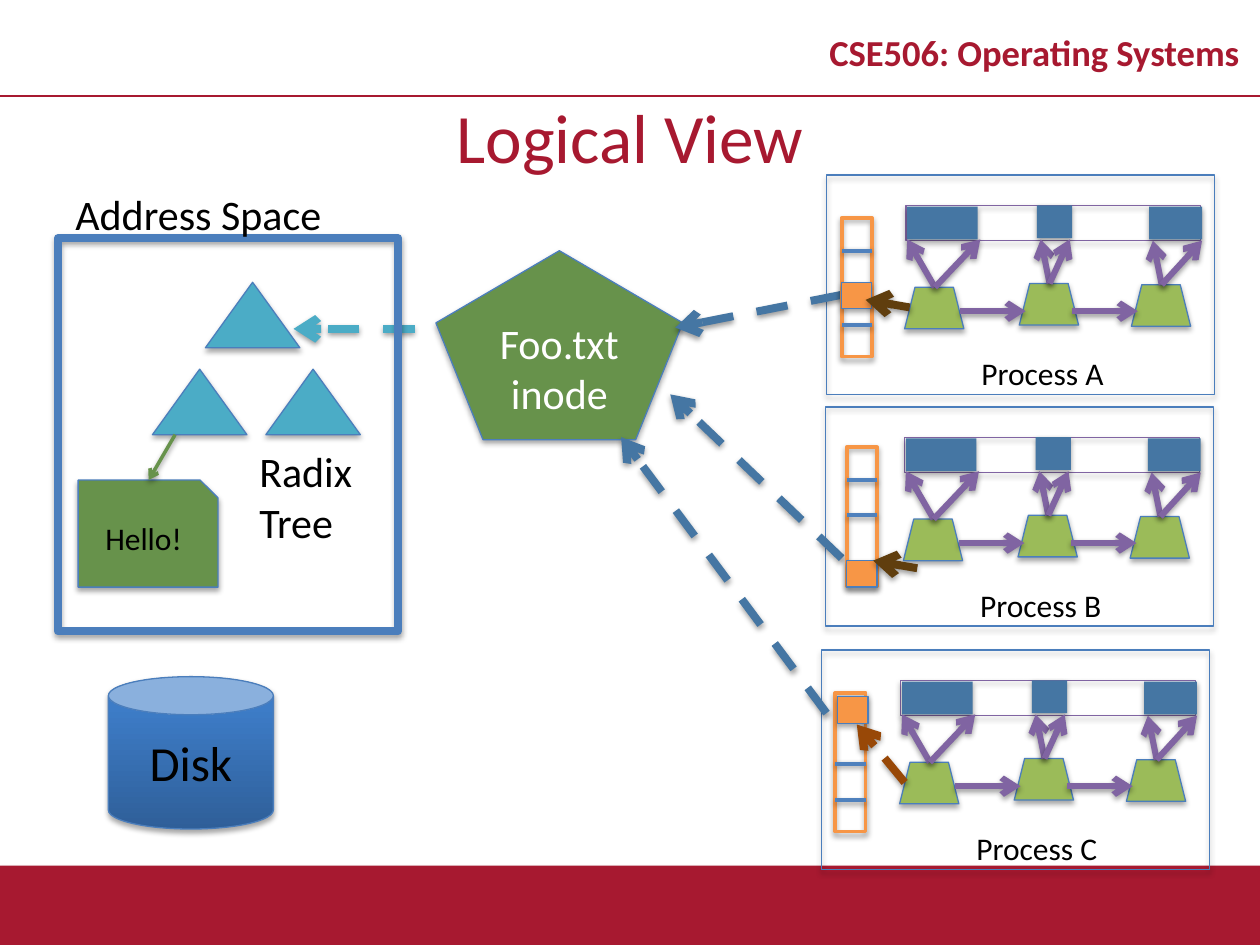
from dataclasses import dataclass
from pptx import Presentation
from pptx.dml.color import RGBColor
from pptx.enum.dml import MSO_LINE
from pptx.enum.shapes import MSO_CONNECTOR, MSO_SHAPE as Kind
from pptx.enum.text import MSO_ANCHOR, MSO_AUTO_SIZE, PP_ALIGN
from pptx.oxml import parse_xml
from pptx.oxml.ns import nsdecls, qn
from pptx.util import Inches, Pt


@dataclass(frozen=True)
class Theme:
    font: str = "Calibri"
    crimson: str = "A71930"
    outline: str = "4B7EBC"
    divider: str = "4F81BD"
    steel: str = "4576A3"
    purple: str = "8064A2"
    lime: str = "9BBB59"
    orange: str = "F79646"
    brown: str = "603E0E"
    rust: str = "984807"
    teal: str = "4BACC6"
    green: str = "67924B"
    black: str = "000000"
    white: str = "FFFFFF"
    disk: tuple = ((0, "2F5F99"), (80, "3D7CC7"), (100, "3A7CCB"))
    title: float = 39.6
    course: float = 20.9
    big: float = 28
    body: float = 24
    small: float = 18
    hair: float = 0.75
    medium: float = 2.25
    pointer: float = 3.5
    thick: float = 4.5


theme = Theme()
deck = Presentation()
deck.slide_width, deck.slide_height = Inches(10), Inches(7.5)
slide = deck.slides.add_slide(deck.slide_layouts[6])
canvas = slide.shapes

# Square grid: 100 columns by 75 rows
COL = deck.slide_width / 100
ROW = deck.slide_height / 75
SHADOW = (f'<a:effectLst {nsdecls("a")}><a:outerShdw blurRad="40000" dist="%d" dir="5400000" '
          'rotWithShape="0"><a:srgbClr val="000000"><a:alpha val="%d"/></a:srgbClr>'
          '</a:outerShdw></a:effectLst>')


def block(parent, kind, box, fill=None, line=None, width=theme.hair, text="",
          size=theme.body, color=theme.black, align=PP_ALIGN.CENTER):
    """Add a shadowed shape, or a plain text box when kind is None."""
    x, y, w, h = box
    place = round(x * COL), round(y * ROW), round(w * COL), round(h * ROW)
    if kind is None:
        item = parent.add_textbox(*place)
    else:
        item = parent.add_shape(kind, *place)
        if fill:
            item.fill.solid()
            item.fill.fore_color.rgb = RGBColor.from_string(fill)
        else:
            item.fill.background()
        if line:
            item.line.color.rgb = RGBColor.from_string(line)
            item.line.width = Pt(width)
        else:
            item.line.fill.background()
        item.element.spPr.append(parse_xml(SHADOW % (23000, 35000)))
    if text:
        frame = item.text_frame
        frame.word_wrap = align == PP_ALIGN.CENTER
        if frame.word_wrap:
            frame.vertical_anchor = MSO_ANCHOR.MIDDLE
        else:
            frame.auto_size = MSO_AUTO_SIZE.SHAPE_TO_FIT_TEXT
        paragraph = frame.paragraphs[0]
        paragraph.text = text
        paragraph.alignment = align
        paragraph.font.name, paragraph.font.size = theme.font, Pt(size)
        paragraph.font.color.rgb = RGBColor.from_string(color)
    return item


def link(parent, start, end, color, width, arrow=True, dash=False, shadow=True):
    """Add a straight line between two grid points."""
    (x1, y1), (x2, y2) = start, end
    item = parent.add_connector(MSO_CONNECTOR.STRAIGHT, round(x1 * COL), round(y1 * ROW),
                                round(x2 * COL), round(y2 * ROW))
    item.line.color.rgb = RGBColor.from_string(color)
    item.line.width = Pt(width)
    if dash:
        item.line.dash_style = MSO_LINE.DASH
    if arrow:
        item.line._get_or_add_ln().append(
            parse_xml(f'<a:tailEnd {nsdecls("a")} type="arrow"/>'))
    effect = SHADOW % (20000, 38000) if shadow else f'<a:effectLst {nsdecls("a")}/>'
    item.element.spPr.append(parse_xml(effect))


# Header, title and footer band
block(canvas, Kind.RECTANGLE, (0, 68.7, 100, 6.3), theme.crimson)
link(canvas, (0, 7.6), (100, 7.6), theme.crimson, 1, arrow=False, shadow=False)
course = block(canvas, None, (64.2, 1.3, 35.8, 6.3), text="CSE506: Operating Systems",
               size=theme.course, color=theme.crimson)
course.text_frame.paragraphs[0].font.bold = True
course.text_frame.paragraphs[0].line_spacing = 0.8
block(canvas, None, (0, 7.6, 100, 6.3), text="Logical View",
      size=theme.title, color=theme.crimson)

# Disk with its gradient
disk = block(canvas, Kind.CAN, (8.6, 53.7, 13.1, 12.1), line=theme.outline,
             text="Disk", size=theme.big)
stops = "".join(f'<a:gs pos="{pos * 1000}"><a:srgbClr val="{tone}"/></a:gs>'
                for pos, tone in theme.disk)
disk_props = disk.element.spPr
disk_props.replace(disk_props.find(qn("a:noFill")), parse_xml(
    f'<a:gradFill {nsdecls("a")} rotWithShape="1"><a:gsLst>{stops}</a:gsLst>'
    '<a:lin ang="16200000" scaled="0"/></a:gradFill>'))

# Cached page and inode
block(canvas, Kind.SNIP_1_RECTANGLE, (6.2, 38.1, 11.1, 8.5), theme.green, theme.outline,
      text="Hello!", size=theme.small)
block(canvas, Kind.REGULAR_PENTAGON, (34.6, 19.9, 19.6, 15), theme.green, theme.outline,
      text="Foo.txt\vinode", color=theme.white)
link(canvas, (32.9, 26.1), (23.3, 26.1), theme.teal, theme.thick, dash=True)

# Each process: name, panel corner, arrow to the inode, file table corner,
# table dividers, open entry offset, arrow from the first node to the entry
processes = (
    ("A", (65.6, 13.9), ((66.8, 23.4), (53.6, 26)), (66.8, 17.3), (2.6, 8.5), (0, 5.1),
     ((72.2, 24.4), (68.7, 23.8)), theme.brown),
    ("B", (65.5, 32.3), ((66.8, 44.3), (53.2, 31.3)), (67.2, 35.5), (2.6, 5.4), (0, 9),
     ((72.8, 45.1), (69.3, 44.5)), theme.brown),
    ("C", (65.2, 51.6), ((65.6, 56.6), (49.3, 34.7)), (66.3, 55), (5.6, 8.5), (0.2, 0.3),
     ((71.8, 62.1), (68, 57.5)), theme.rust),
)
# Mapped regions (left, top, width) and nodes (left, top, arrow tips, tip row)
regions = ((25.6, 2.5, 4.2), (16.7, 2.4, 2.8), (6.4, 2.5, 5.6))
nodes = ((6.2, 8.9, (6.4, 12.2), 5.1), (15.3, 8.6, (17, 19.3), 5.1),
         (24.2, 8.7, (25.9, 29.8), 5.2))

for name, (px, py), to_inode, (tx, ty), dividers, (ex, ey), to_entry, entry_tone in processes:
    block(canvas, Kind.RECTANGLE, (px, py, 30.8, 17.4), line=theme.outline)
    block(canvas, Kind.RECTANGLE, (px + 6.3, py + 2.4, 23.4, 2.8), line=theme.purple)
    block(canvas, None, (px + 11.3, py + 13.7, 12.5, 4), text=f"Process {name}",
          size=theme.small, align=PP_ALIGN.LEFT)

    # Regions and the linked nodes that point at them
    tree = canvas.add_group_shape().shapes
    for x, y, w in regions:
        block(tree, Kind.RECTANGLE, (px + x, py + y, w, 2.6), theme.steel)
    for x, y, tips, tip_row in nodes:
        block(tree, Kind.TRAPEZOID, (px + x, py + y, 4.7, 3.3), theme.lime, theme.outline)
        for tip in tips:
            link(tree, (px + x + 2.4, py + y), (px + tip, py + tip_row),
                 theme.purple, theme.pointer)
    for x in (10.6, 19.5):
        link(tree, (px + x, py + 10.8), (px + x + 5.2, py + 10.8),
             theme.purple, theme.pointer)
    link(canvas, *to_inode, theme.steel, theme.thick, dash=True)

    # File table
    block(canvas, Kind.RECTANGLE, (tx, ty, 2.4, 11), line=theme.orange, width=theme.medium)
    for y in dividers:
        link(canvas, (tx, ty + y), (tx + 2.4, ty + y), theme.divider, theme.medium, arrow=False)
    block(canvas, Kind.RECTANGLE, (tx + ex, ty + ey, 2.4, 2.1), theme.orange, theme.outline)
    link(canvas, *to_entry, entry_tone, theme.thick, dash=True)

# Radix tree inside the address space
for x, y in ((16.3, 22.4), (12.1, 29.3), (21.1, 29.3)):
    block(canvas, Kind.ISOSCELES_TRIANGLE, (x, y, 7.5, 5.2), theme.teal, theme.outline)
link(canvas, (13.9, 34.5), (11.8, 38.1), theme.green, 2)
block(canvas, Kind.RECTANGLE, (4.6, 18.9, 27, 31.2), line=theme.outline, width=theme.thick)
for label, box in (("Address Space", (5, 14.5, 22.8, 5)),
                   ("Radix\vTree", (19.6, 34.9, 10.6, 9.1))):
    block(canvas, None, box, text=label, align=PP_ALIGN.LEFT)

deck.save("out.pptx")
